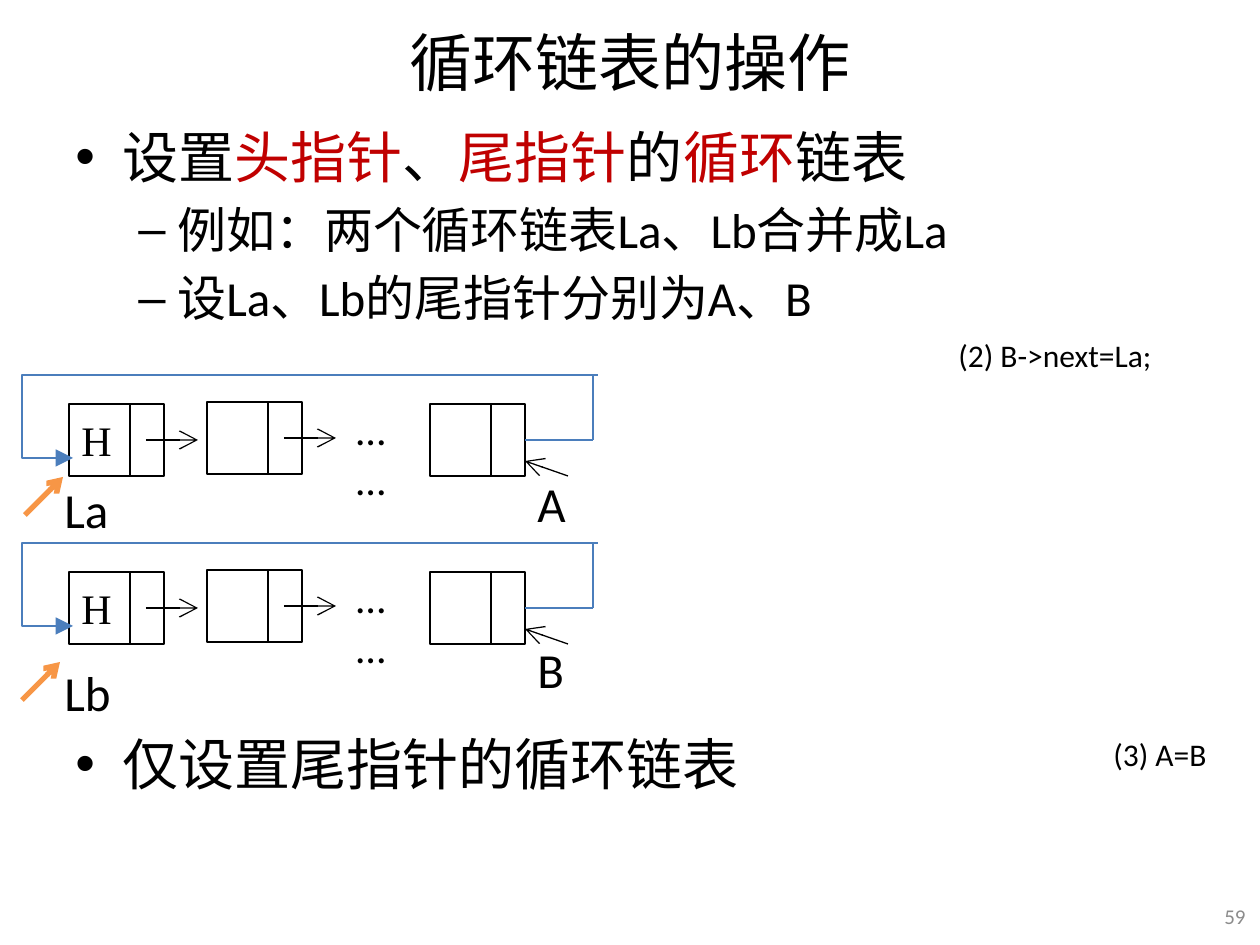
from lxml import etree
from pptx import Presentation
from pptx import util as u
from pptx.dml.color import RGBColor
from pptx.enum import shapes, text
from pptx.oxml.ns import qn

SCALE = 914400 / 126
BLACK, RED, BLUE, ORANGE, GRAY = "000000", "C00000", "4B7EBC", "F79646", "8C8C8C"
LIST_GAP = 168


def px(value):
    return u.Emu(round(value * SCALE))


def color(value):
    return RGBColor.from_string(value)


def assign(target, values):
    for name, value in values.items():
        setattr(target, name, value)


class SlideBuilder:
    font = "Calibri"

    def __init__(self, slide):
        self.slide = slide

    def add_run(self, paragraph, content, size, hue=BLACK, font=None):
        run = paragraph.add_run()
        run.text = content
        assign(run.font, {"name": font or self.font, "size": u.Pt(size)})
        run.font.color.rgb = color(hue)

    def label(self, left, top, width, height, content, size, hue=BLACK,
              wrap=False, align=text.PP_ALIGN.LEFT, anchor=text.MSO_ANCHOR.TOP):
        shape = self.slide.shapes.add_textbox(*map(px, (left, top, width, height)))
        assign(shape.text_frame, {"word_wrap": wrap, "vertical_anchor": anchor})
        paragraph = shape.text_frame.paragraphs[0]
        paragraph.alignment = align
        self.add_run(paragraph, content, size, hue)

    def bullets(self, left, top, width, height, items):
        shape = self.slide.shapes.add_textbox(*map(px, (left, top, width, height)))
        frame = shape.text_frame
        frame.word_wrap = True
        for index, (level, before, runs) in enumerate(items):
            paragraph = frame.paragraphs[0] if index == 0 else frame.add_paragraph()
            assign(paragraph, {"level": level, "space_before": u.Pt(before)})
            margin, indent, mark, size = ((47, -47, "•", 32), (102, -39, "–", 28))[level]
            properties = paragraph._p.get_or_add_pPr()
            properties.set("marL", str(px(margin)))
            properties.set("indent", str(px(indent)))
            etree.SubElement(properties, qn("a:buFont"), typeface="Arial")
            etree.SubElement(properties, qn("a:buChar"), char=mark)
            for content, hue in runs:
                self.add_run(paragraph, content, size, hue)

    def node(self, left, top, content=""):
        width, height, divider = 95, 72, left + 61
        shape = self.slide.shapes.add_shape(
            shapes.MSO_SHAPE.RECTANGLE, *map(px, (left, top, width, height)))
        shape.shadow.inherit = False
        shape.fill.background()
        shape.line.color.rgb = color(BLACK)
        shape.line.width = u.Pt(1)
        if content:
            frame = shape.text_frame
            assign(frame, {"word_wrap": True, "vertical_anchor": text.MSO_ANCHOR.MIDDLE})
            frame.paragraphs[0].alignment = text.PP_ALIGN.LEFT
            self.add_run(frame.paragraphs[0], content, 24, font="Times New Roman")
        self.line((divider, top), (divider, top + height))
        return shape

    def line(self, start, end, hue=BLACK, width=0.75, head=None, tail=None,
             bend=None, arrow_size="lg"):
        kind = shapes.MSO_CONNECTOR.STRAIGHT if bend is None else shapes.MSO_CONNECTOR.ELBOW
        connector = self.slide.shapes.add_connector(kind, *map(px, start + end))
        connector.line.color.rgb = color(hue)
        connector.line.width = u.Pt(width)
        properties = connector._element.spPr
        outline = connector.line._get_or_add_ln()
        for tag, arrow in (("a:headEnd", head), ("a:tailEnd", tail)):
            if arrow:
                etree.SubElement(outline, qn(tag), type=arrow, w=arrow_size, len=arrow_size)
        if bend is not None:
            guides = properties.find(qn("a:prstGeom")).get_or_add_avLst()
            etree.SubElement(guides, qn("a:gd"), name="adj1", fmla=f"val {bend}")
        etree.SubElement(properties, qn("a:effectLst"))
        return connector

    def circular_list(self, top):
        self.node(69, top, "H")
        self.node(207, top - 2)
        last = self.node(430, top)
        for left, middle in ((146, top + 36), (284, top + 34)):
            self.line((left, middle), (left + 52, middle), tail="arrow")
        self.line((568, top + 72), (525, top + 57), tail="arrow")
        self.label(344, top - 7, 81, 63, "… …", 24, wrap=True)
        self.line((73, top + 54), (598, top - 29), BLUE, head="triangle", bend=-9700)
        self.line((593, top - 29), (593, top + 36), BLUE)
        link = self.line((593, top + 36), (525, top + 36), BLUE, 1)
        link.end_connect(last, 3)


def main():
    presentation = Presentation()
    assign(presentation, {"slide_width": px(1260), "slide_height": px(945)})
    slide = presentation.slides.add_slide(presentation.slide_layouts[6])
    builder = SlideBuilder(slide)

    builder.label(63, 6, 1134, 110, "循环链表的操作", 36, wrap=True,
                  align=text.PP_ALIGN.CENTER, anchor=text.MSO_ANCHOR.MIDDLE)
    builder.bullets(63, 116, 1134, 820, [
        (0, 6.4, [("设置", BLACK), ("头指针", RED), ("、", BLACK), ("尾指针", RED),
                  ("的", BLACK), ("循环", RED), ("链表", BLACK)]),
        (1, 5.6, [("例如：两个循环链表La、Lb合并成La", BLACK)]),
        (1, 5.6, [("设La、Lb的尾指针分别为A、B", BLACK)]),
        (0, 230, [("仅设置尾指针的循环链表", BLACK)]),
    ])

    for index in range(2):
        builder.circular_list(404 + index * LIST_GAP)
    for left, top, width, content in ((525, 467, 60, "A"), (525, 633, 60, "B"),
                                      (52, 473, 90, "La"), (52, 656, 90, "Lb")):
        builder.label(left, top, width, 72, content, 28)
    for left, bottom in ((25, 515), (22, 700)):
        builder.line((left, bottom), (left + 38, bottom - 38), ORANGE, 3,
                     tail="arrow", arrow_size="med")

    builder.label(946, 330, 220, 50, "(2) B->next=La;", 18)
    builder.label(1101, 729, 120, 50, "(3) A=B", 18)
    builder.label(1206, 890, 52, 53, "59", 12, GRAY, wrap=True,
                  align=text.PP_ALIGN.RIGHT, anchor=text.MSO_ANCHOR.MIDDLE)
    presentation.save("out.pptx")


if __name__ == "__main__":
    main()
